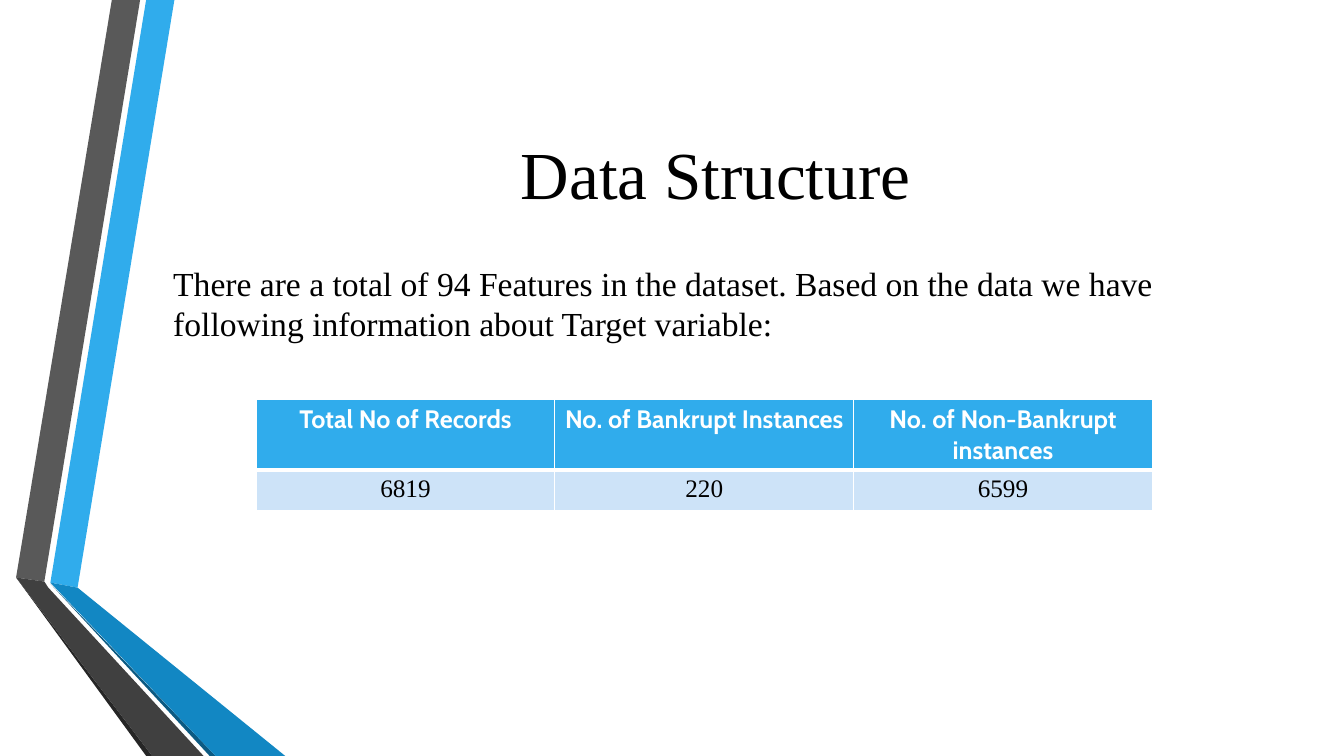
from dataclasses import dataclass

import lxml.etree
import pptx
import pptx.dml.color
import pptx.enum.text
import pptx.oxml.ns
import pptx.presentation
import pptx.shapes.autoshape
import pptx.slide
import pptx.table
import pptx.text.text
import pptx.util

Inches = pptx.util.Inches


@dataclass(frozen=True)
class Theme:
    text: str = "000000"
    white: str = "FFFFFF"
    blue: str = "30ACEC"
    deep_blue: str = "1287C3"
    navy: str = "0C5A82"
    pale_blue: str = "CDE3F8"
    gray: str = "595959"
    dark_gray: str = "404040"
    charcoal: str = "262626"
    serif: str = "Times New Roman"
    sans: str = "Cabin"
    title_size: int = 48
    body_size: int = 24
    table_size: int = 18


THEME = Theme()


@dataclass(frozen=True)
class Ribbon:
    color: str
    corners: tuple[tuple[float, float], ...]


@dataclass(frozen=True)
class RowStyle:
    height: float
    fill: str
    color: str
    font: str
    bold: bool
    borders: dict[str, float]


RIBBONS = (
    Ribbon(THEME.blue, ((0.5, 5.78), (0.77, 5.83), (1.73, 0), (1.45, 0))),
    Ribbon(THEME.gray, ((1.39, 0), (1.11, 0), (0.16, 5.73), (0.44, 5.77))),
    Ribbon(THEME.charcoal, ((0.16, 5.73), (1.45, 7.5), (1.51, 7.5))),
    Ribbon(THEME.navy, ((0.5, 5.79), (2.08, 7.5), (2.14, 7.5))),
    Ribbon(THEME.deep_blue, ((0.5, 5.78), (2.14, 7.5), (2.83, 7.5), (0.77, 5.83))),
    Ribbon(THEME.dark_gray, ((2.02, 7.5), (0.48, 5.83), (0.44, 5.77), (0.16, 5.73), (1.51, 7.5))),
)

HEADER = RowStyle(0.7, THEME.blue, THEME.white, THEME.sans, True,
                  {"lnL": 1, "lnR": 1, "lnT": 1, "lnB": 3})
RECORD = RowStyle(0.41, THEME.pale_blue, THEME.text, THEME.serif, False,
                  {"lnL": 1, "lnR": 1, "lnT": 3, "lnB": 1})

TARGET_COUNTS = (
    (HEADER, ("Total No of Records", "No. of Bankrupt Instances", "No. of Non-Bankrupt instances")),
    (RECORD, ("6819", "220", "6599")),
)


def rgb(color: str) -> pptx.dml.color.RGBColor:
    return pptx.dml.color.RGBColor.from_string(color)


def format_text(paragraph: pptx.text.text._Paragraph, font: str, size: int, color: str,
                centered: bool = True, bold: bool = False) -> None:
    align = pptx.enum.text.PP_ALIGN
    paragraph.alignment = align.CENTER if centered else align.LEFT
    paragraph.font.name = font
    paragraph.font.size = pptx.util.Pt(size)
    paragraph.font.bold = bold
    paragraph.font.color.rgb = rgb(color)


def draw_ribbon(slide: pptx.slide.Slide, ribbon: Ribbon) -> None:
    start, *rest = [(Inches(x), Inches(y)) for x, y in ribbon.corners]
    builder = slide.shapes.build_freeform(*start)
    builder.add_line_segments(rest, close=True)
    band = builder.convert_to_shape()
    band.shadow.inherit = False
    band.fill.solid()
    band.fill.fore_color.rgb = rgb(ribbon.color)
    band.line.fill.background()


def add_border(cell: pptx.table._Cell, side: str, points: float) -> None:
    qn = pptx.oxml.ns.qn
    properties = cell._tc.get_or_add_tcPr()
    border = lxml.etree.SubElement(properties, qn(f"a:{side}"), w=str(pptx.util.Pt(points)))
    fill = lxml.etree.SubElement(border, qn("a:solidFill"))
    lxml.etree.SubElement(fill, qn("a:srgbClr"), val=THEME.white)


def draw_title(slide: pptx.slide.Slide) -> None:
    title = slide.shapes.title
    title.left, title.top = Inches(1.62), Inches(0.75)
    title.width, title.height = Inches(10.96), Inches(1.92)
    title.text_frame.text = "Data Structure"
    title.text_frame.vertical_anchor = pptx.enum.text.MSO_ANCHOR.MIDDLE
    format_text(title.text_frame.paragraphs[0], THEME.serif, THEME.title_size, THEME.text)


def draw_summary(slide: pptx.slide.Slide) -> None:
    summary = slide.shapes.add_textbox(Inches(1.62), Inches(2.56), Inches(10.96), Inches(0.9))
    frame = summary.text_frame
    frame.word_wrap = True
    frame.text = ("There are a total of 94 Features in the dataset. Based on the data we have "
                  "following information about Target variable:")
    format_text(frame.paragraphs[0], THEME.serif, THEME.body_size, THEME.text, centered=False)


def draw_target_counts(slide: pptx.slide.Slide) -> None:
    columns = len(TARGET_COUNTS[0][1])
    height = sum(style.height for style, _ in TARGET_COUNTS)
    table = slide.shapes.add_table(len(TARGET_COUNTS), columns, Inches(2.54), Inches(3.96),
                                   Inches(8.89), Inches(height)).table
    for row, (style, labels) in enumerate(TARGET_COUNTS):
        table.rows[row].height = Inches(style.height)
        for column, label in enumerate(labels):
            cell = table.cell(row, column)
            for side, points in style.borders.items():
                add_border(cell, side, points)
            cell.fill.solid()
            cell.fill.fore_color.rgb = rgb(style.fill)
            cell.text = label
            format_text(cell.text_frame.paragraphs[0], style.font, THEME.table_size,
                        style.color, bold=style.bold)


def main() -> None:
    deck = pptx.Presentation()
    deck.slide_width, deck.slide_height = Inches(13.33), Inches(7.5)
    slide = deck.slides.add_slide(deck.slide_layouts.get_by_name("Title Only"))
    for ribbon in RIBBONS:
        draw_ribbon(slide, ribbon)
    draw_title(slide)
    draw_summary(slide)
    draw_target_counts(slide)
    deck.save("out.pptx")


if __name__ == "__main__":
    main()
